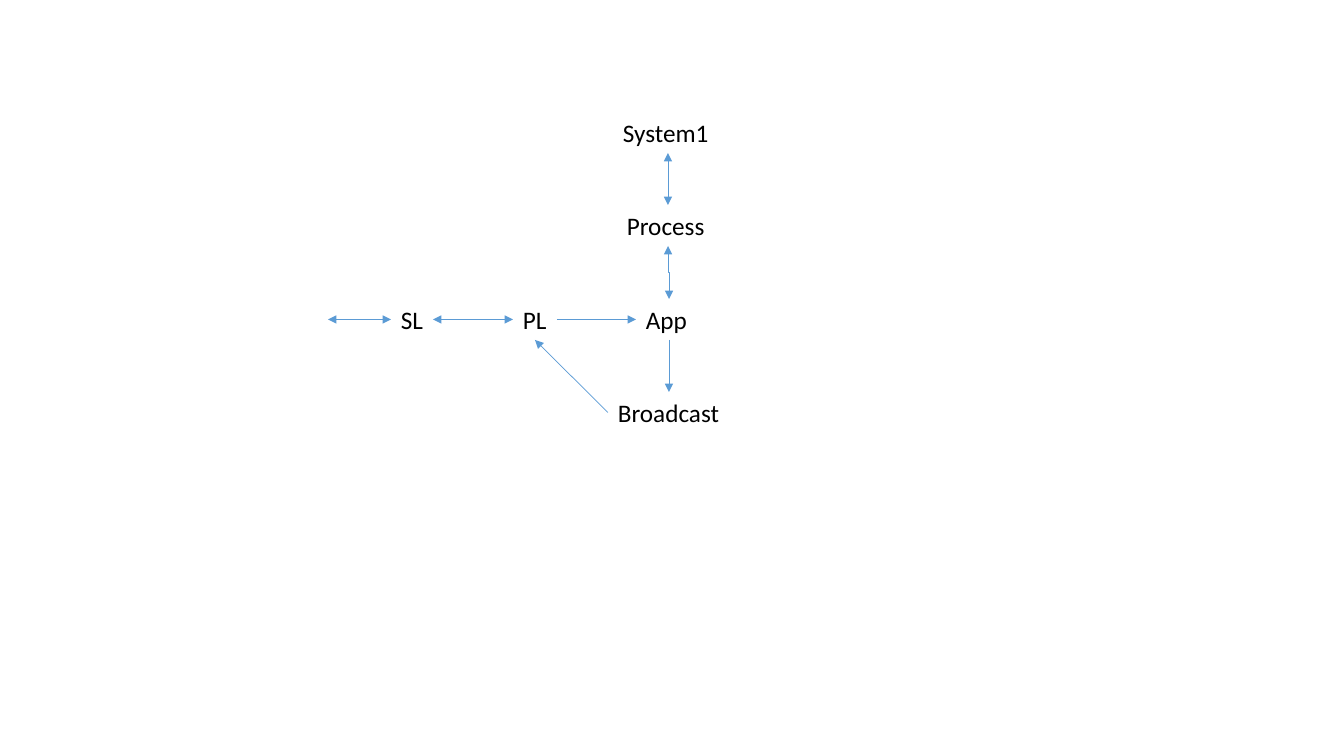
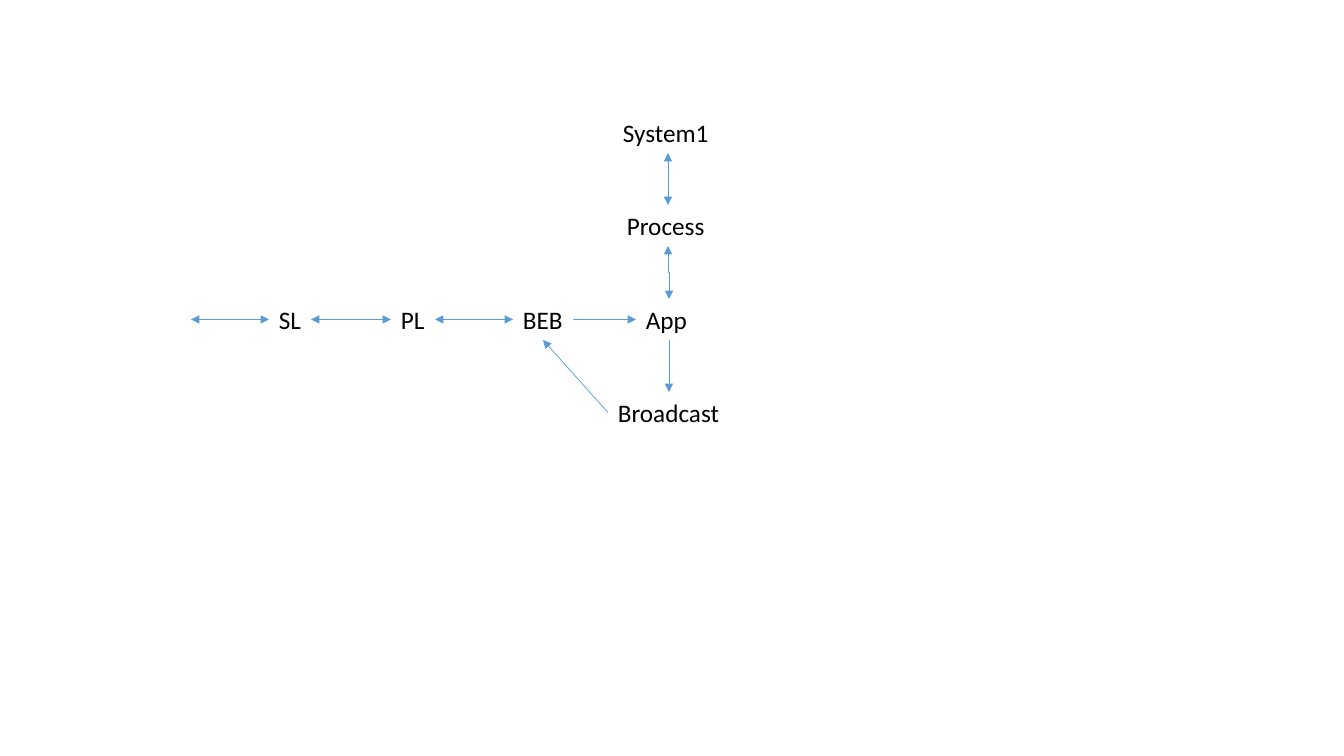
from itertools import pairwise
from pptx import Presentation
from pptx.dml.color import RGBColor
from pptx.enum.shapes import MSO_CONNECTOR
from pptx.enum.text import MSO_AUTO_SIZE
from pptx.oxml.ns import qn
from pptx.util import Pt
from lxml.etree import SubElement

SCALE = 914400 / 100.8
TOP, LEFT, BOTTOM, RIGHT = range(4)
BOX_HEIGHT = 41
CHAIN_LEFT, CHAIN_STEP = 513, 122


def px(length):
    return round(length * SCALE)


def color(value):
    return RGBColor.from_string(value)


def row_top(row):
    return round(112 + row * 280 / 3)


class Diagram:
    font = "Calibri"
    size = 18
    ink = "000000"
    blue = "5B9BD5"

    def __init__(self, deck):
        self.deck = deck
        self.page = None

    def new_page(self):
        self.page = self.deck.slides.add_slide(self.deck.slide_layouts[6])

    def label(self, text, left, row, width, wrap=True):
        box = self.page.shapes.add_textbox(px(left), px(row_top(row)), px(width), px(BOX_HEIGHT))
        frame = box.text_frame
        frame.word_wrap = wrap
        frame.auto_size = MSO_AUTO_SIZE.SHAPE_TO_FIT_TEXT
        frame.text = text
        font = frame.paragraphs[0].runs[0].font
        font.name = self.font
        font.size = Pt(self.size)
        font.color.rgb = color(self.ink)
        return box

    def line(self, kind, start, end, both):
        connector = self.page.shapes.add_connector(kind, *start, *end)
        connector.line.color.rgb = color(self.blue)
        connector.line.width = Pt(0.5)
        outline = connector.line._get_or_add_ln()
        for tag in ("a:headEnd", "a:tailEnd") if both else ("a:tailEnd",):
            SubElement(outline, qn(tag)).set("type", "triangle")
        SubElement(connector._element.spPr, qn("a:effectLst"))
        return connector

    def link(self, source, source_site, target, target_site, both=False):
        connector = self.line(MSO_CONNECTOR.STRAIGHT, (0, 0), (0, 0), both)
        connector.begin_connect(source, source_site)
        connector.end_connect(target, target_site)

    def open_link(self, source, end_left):
        middle = source.top + source.height // 2
        self.line(MSO_CONNECTOR.STRAIGHT, (source.left, middle), (px(end_left), middle), True)

    def elbow_down(self, upper, lower):
        start_x = upper.left + upper.width // 2
        end_x = lower.left + lower.width // 2
        start_y = upper.top + upper.height
        center_x, center_y = (start_x + end_x) // 2, (start_y + lower.top) // 2
        reach, offset = (lower.top - start_y) // 2, (end_x - start_x) // 2
        connector = self.line(
            MSO_CONNECTOR.ELBOW,
            (center_x + reach, center_y - offset),
            (center_x - reach, center_y + offset),
            True,
        )
        connector.rotation = 270

    def system(self, layers, open_end):
        self.new_page()
        system = self.label("System1", 613, 0, 110)
        process = self.label("Process", 617, 1, 102)
        app = self.label("App", 636, 2, 66)
        broadcast = self.label("Broadcast", 608, 3, 122)
        chain = [
            self.label(name, CHAIN_LEFT - index * CHAIN_STEP, 2, width, wrap=False)
            for index, (name, width) in enumerate(layers)
        ]
        self.link(process, TOP, system, BOTTOM, both=True)
        self.elbow_down(process, app)
        self.link(app, BOTTOM, broadcast, TOP)
        self.link(broadcast, LEFT, chain[0], BOTTOM)
        self.link(chain[0], RIGHT, app, LEFT)
        for nearer, farther in pairwise(chain):
            self.link(nearer, LEFT, farther, RIGHT, both=True)
        self.open_link(chain[-1], open_end)


deck = Presentation()
deck.slide_width, deck.slide_height = px(1344), px(756)
diagram = Diagram(deck)
links = [("PL", 44), ("SL", 42)]
diagram.system(links, 328)
diagram.system([("BEB", 60)] + links, 191)
deck.save("out.pptx")
